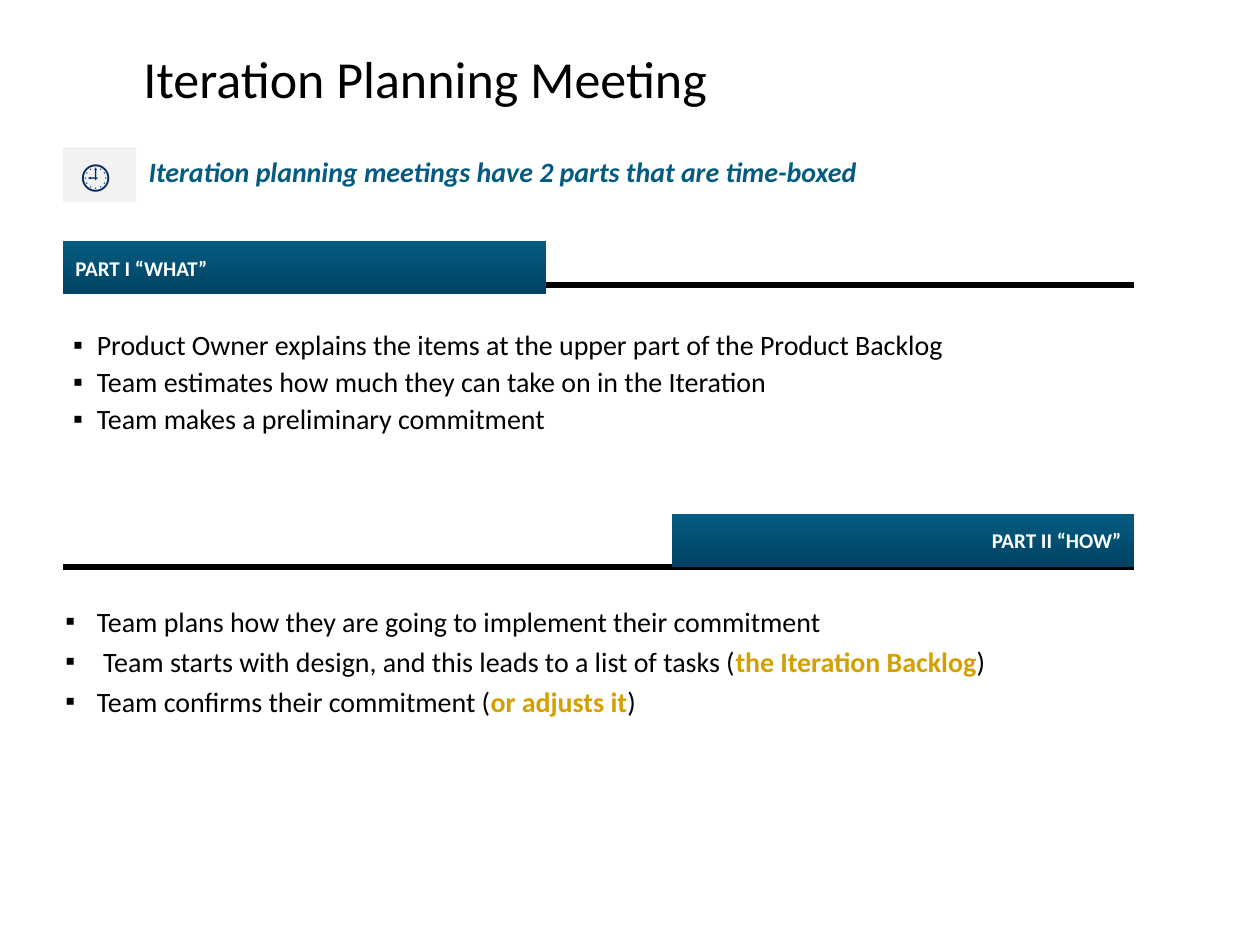
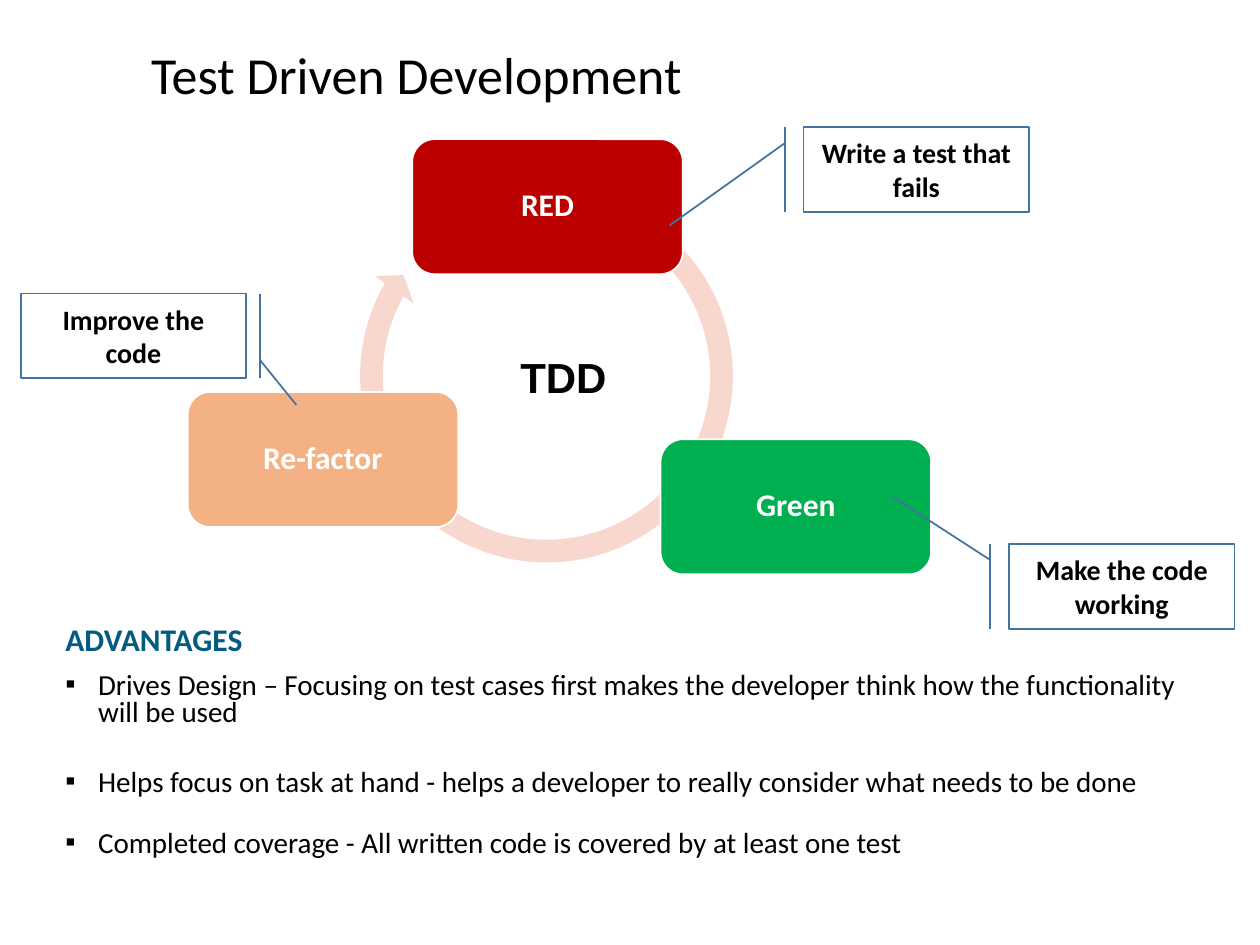
"""Build two slides on agile practice: iteration planning and test driven development."""
from dataclasses import dataclass
from typing import Any

from lxml import etree
from pptx import Presentation
from pptx.dml.color import RGBColor
from pptx.enum import shapes, text
from pptx.oxml.ns import qn
from pptx.util import Length, Pt

BLACK = RGBColor(0x00, 0x00, 0x00)
WHITE = RGBColor(0xFF, 0xFF, 0xFF)
TEAL = RGBColor(0x04, 0x5B, 0x81)
DEEP_TEAL = RGBColor(0x00, 0x43, 0x64)
NAVY = RGBColor(0x00, 0x26, 0x63)
GOLD = RGBColor(0xD2, 0xA0, 0x00)
PALE_GREY = RGBColor(0xF2, 0xF2, 0xF2)
PALE_ROSE = RGBColor(0xF8, 0xD7, 0xCE)
RED = RGBColor(0xBC, 0x00, 0x00)
GREEN = RGBColor(0x00, 0xB0, 0x50)
ORANGE = RGBColor(0xF4, 0xB1, 0x83)
CALLOUT_BLUE = RGBColor(0x43, 0x73, 0x9E)

LEFT, CENTER, RIGHT = text.PP_ALIGN.LEFT, text.PP_ALIGN.CENTER, text.PP_ALIGN.RIGHT
TOP, MIDDLE = text.MSO_ANCHOR.TOP, text.MSO_ANCHOR.MIDDLE
SHAPE = shapes.MSO_SHAPE

TITLE = {"name": "Calibri", "size": Pt(29.7)}
BODY = {"name": "Calibri", "size": Pt(16)}
ADVANTAGE = {"name": "Calibri", "size": Pt(16.6)}
NOTE = BODY | {"bold": True}
STATEMENT = NOTE | {"italic": True}
BAND = NOTE | {"size": Pt(12)}
STEP = NOTE | {"size": Pt(18)}
CLOCK = NOTE | {"size": Pt(20)}
HUB = {"name": "Arial", "size": Pt(24), "bold": True}

RULE_LEFT, RULE_RIGHT, BODY_LEFT = 36, 648, 30.24
BAND_HEIGHT = 30.24
STEP_SIZE = (154.6, 77.2)
CALLOUT_SIZE = (128.9, 48.3)


@dataclass(frozen=True)
class Box:
    """A rectangle in points."""
    left: float
    top: float
    width: float
    height: float

    def lengths(self) -> list[Length]:
        """Return the four measures as lengths."""
        return [Pt(side) for side in (self.left, self.top, self.width, self.height)]


@dataclass(frozen=True)
class Part:
    """A meeting part: its band, rule and label."""
    label: str
    band: Box
    rule_y: float
    align: Any


@dataclass(frozen=True)
class Bullet:
    """A bullet whose every second piece is emphasised."""
    pieces: tuple[str, ...]
    space_before: float = 0


@dataclass(frozen=True)
class Step:
    """A block of the development cycle."""
    label: str
    left: float
    top: float
    colour: RGBColor


@dataclass(frozen=True)
class Callout:
    """A remark with a leader given by its adjustments."""
    remark: str
    left: float
    top: float
    leader: tuple[float, ...]


PARTS = (
    Part("PART I “WHAT”", Box(RULE_LEFT, 138, 276, BAND_HEIGHT), 162.9, LEFT),
    Part("PART II “HOW”", Box(384, 293.76, 264, BAND_HEIGHT), 324, RIGHT),
)
WHAT = (
    Bullet(("Product Owner explains the items at the upper part of the Product Backlog",)),
    Bullet(("Team estimates how much they can take on in the Iteration",), 3.8),
    Bullet(("Team makes a preliminary commitment",), 3.8),
)
HOW = (
    Bullet(("Team plans how they are going to implement their commitment",)),
    Bullet((" Team starts with design, and this leads to a list of tasks (",
            "the Iteration Backlog", ")"), 3.6),
    Bullet(("Team confirms their commitment (", "or adjusts it", ")"), 3.6),
)
ADVANTAGES = (
    Bullet(("Drives Design – Focusing on test cases first makes the developer "
            "think how the functionality will be used",)),
    Bullet(("Helps focus on task at hand - helps a developer to really consider "
            "what needs to be done",), 23.8),
    Bullet(("Completed coverage - All written code is covered by at least one test",), 19.2),
)
STEPS = (
    Step("RED", 235.6, 79.5, RED),
    Step("Green", 377.5, 251, GREEN),
    Step("Re-factor", 107.3, 224, ORANGE),
)
CALLOUTS = (
    Callout("Write a test that fails", 459.2, 72.7, (0.188, -0.083, 1.164, -0.595)),
    Callout("Make the code working", 576.6, 311, (0.188, -0.083, -0.561, -0.516)),
    Callout("Improve the code", 11.8, 167.8, (0.788, 1.062, 1.319, 1.223)),
)


def apply(target: Any, values: dict[str, Any]) -> None:
    """Set each named attribute on the target."""
    for name, value in values.items():
        setattr(target, name, value)


def add_run(paragraph: Any, words: str, style: dict[str, Any], colour: RGBColor) -> None:
    """Append styled words to a paragraph."""
    run = paragraph.add_run()
    run.text = words
    apply(run.font, style)
    run.font.color.rgb = colour


def write(shape: Any, words: str, style: dict[str, Any], colour: RGBColor,
          align: Any = LEFT, anchor: Any = TOP, spacing: float = 1, wrap: bool = True) -> None:
    """Put one line of thought into a shape."""
    apply(shape.text_frame, {"word_wrap": wrap, "vertical_anchor": anchor})
    paragraph = shape.text_frame.paragraphs[0]
    apply(paragraph, {"alignment": align, "line_spacing": spacing})
    add_run(paragraph, words, style, colour)


def add_label(slide: Any, box: Box, words: str, style: dict[str, Any],
              colour: RGBColor, **layout: Any) -> None:
    """Add a text box with a single paragraph."""
    write(slide.shapes.add_textbox(*box.lengths()), words, style, colour, **layout)


def add_title(slide: Any, left: float, top: float, words: str) -> None:
    """Add the slide title."""
    add_label(slide, Box(left, top, 469.4, 28.8), words, TITLE, BLACK,
              anchor=MIDDLE, spacing=0.9)


def add_bullets(slide: Any, box: Box, bullets: tuple[Bullet, ...], style: dict[str, Any],
                margin: float, hanging: float, spacing: float) -> None:
    """Add a list with square bullets."""
    frame = slide.shapes.add_textbox(*box.lengths()).text_frame
    frame.word_wrap = True
    for index, bullet in enumerate(bullets):
        paragraph = frame.add_paragraph() if index else frame.paragraphs[0]
        props = paragraph._p.get_or_add_pPr()
        props.set("marL", str(Pt(margin)))
        props.set("indent", str(-Pt(hanging)))
        ink = etree.SubElement(props, qn("a:buClr"))
        etree.SubElement(ink, qn("a:srgbClr"), val=str(BLACK))
        etree.SubElement(props, qn("a:buFont"), typeface="Arial")
        etree.SubElement(props, qn("a:buChar"), char="▪")
        apply(paragraph, {"line_spacing": spacing, "space_before": Pt(bullet.space_before)})
        for position, piece in enumerate(bullet.pieces):
            stressed = position % 2 == 1
            add_run(paragraph, piece, style | {"bold": stressed}, GOLD if stressed else BLACK)


def add_figure(slide: Any, kind: Any, box: Box, fill: RGBColor | None = None,
               outline: RGBColor | None = None) -> Any:
    """Add a preset shape without shadow."""
    figure = slide.shapes.add_shape(kind, *box.lengths())
    figure.shadow.inherit = False
    if fill is None:
        figure.fill.background()
    else:
        figure.fill.solid()
        figure.fill.fore_color.rgb = fill
    if outline is None:
        figure.line.fill.background()
    else:
        figure.line.color.rgb = outline
        figure.line.width = Pt(1)
    return figure


def adjust(figure: Any, values: tuple[float, ...]) -> None:
    """Set the adjustments of a preset shape."""
    for index, value in enumerate(values):
        figure.adjustments[index] = value


def add_part(slide: Any, part: Part) -> None:
    """Add a rule with a gradient band on it."""
    rule = slide.shapes.add_connector(shapes.MSO_CONNECTOR.STRAIGHT, Pt(RULE_LEFT),
                                      Pt(part.rule_y), Pt(RULE_RIGHT), Pt(part.rule_y))
    rule.line.color.rgb = BLACK
    rule.line.width = Pt(3)
    etree.SubElement(rule._element.spPr, qn("a:effectLst"))
    band = add_figure(slide, SHAPE.RECTANGLE, part.band)
    band.fill.gradient()
    band.fill.gradient_angle = 270
    for stop, colour in zip(band.fill.gradient_stops, (TEAL, DEEP_TEAL)):
        stop.color.rgb = colour
    write(band, part.label, BAND, WHITE, align=part.align, anchor=MIDDLE)


def build_planning(slide: Any) -> None:
    """Draw the iteration planning slide."""
    add_title(slide, 74.9, 32.4, "Iteration Planning Meeting")
    add_label(slide, Box(77.8, 85, 509.8, 26.6),
              "Iteration planning meetings have 2 parts that are time-boxed", STATEMENT, TEAL)
    clock = add_figure(slide, SHAPE.RECTANGLE, Box(RULE_LEFT, 84.2, 41.8, 31.5), PALE_GREY)
    write(clock, "🕘 ", CLOCK, NAVY, align=CENTER)
    for part in PARTS:
        add_part(slide, part)
    add_bullets(slide, Box(BODY_LEFT, 185.8, 656.6, 102.2), WHAT, BODY, 18, 13.5, 0.9)
    add_bullets(slide, Box(BODY_LEFT, 342, 656.6, 95.8), HOW, BODY, 18, 18, 1)


def build_cycle(slide: Any) -> None:
    """Draw the test driven development slide."""
    add_title(slide, 79.2, 30.2, "Test Driven Development")
    add_bullets(slide, Box(BODY_LEFT, 380.9, 663.8, 120.2), ADVANTAGES, ADVANTAGE,
                18.7, 18.7, 0.8)
    add_label(slide, Box(BODY_LEFT, 350.6, 173.5, 28.8), "ADVANTAGES", STEP, TEAL)
    ring = add_figure(slide, SHAPE.CIRCULAR_ARROW, Box(198.9, 101.5, 226.8, 226.8), PALE_ROSE)
    adjust(ring, (0.057, 3.405, 125.743, 181.619, 0.059))
    for step in STEPS:
        block = add_figure(slide, SHAPE.ROUNDED_RECTANGLE, Box(step.left, step.top, *STEP_SIZE),
                           step.colour, WHITE)
        write(block, step.label, STEP, WHITE, align=CENTER, anchor=MIDDLE, spacing=0.9)
    add_label(slide, Box(290.2, 197.3, 64.1, 36), "TDD", HUB, BLACK, wrap=False)
    for callout in CALLOUTS:
        remark = add_figure(slide, SHAPE.LINE_CALLOUT_1_BORDER_AND_ACCENT_BAR,
                            Box(callout.left, callout.top, *CALLOUT_SIZE), outline=CALLOUT_BLUE)
        adjust(remark, callout.leader)
        write(remark, callout.remark, NOTE, BLACK, align=CENTER, anchor=MIDDLE)


def main() -> None:
    """Build and save the presentation."""
    deck = Presentation()
    apply(deck, {"slide_width": Pt(720), "slide_height": Pt(540)})
    for build in (build_planning, build_cycle):
        build(deck.slides.add_slide(deck.slide_layouts[6]))
    deck.save("out.pptx")


if __name__ == "__main__":
    main()
